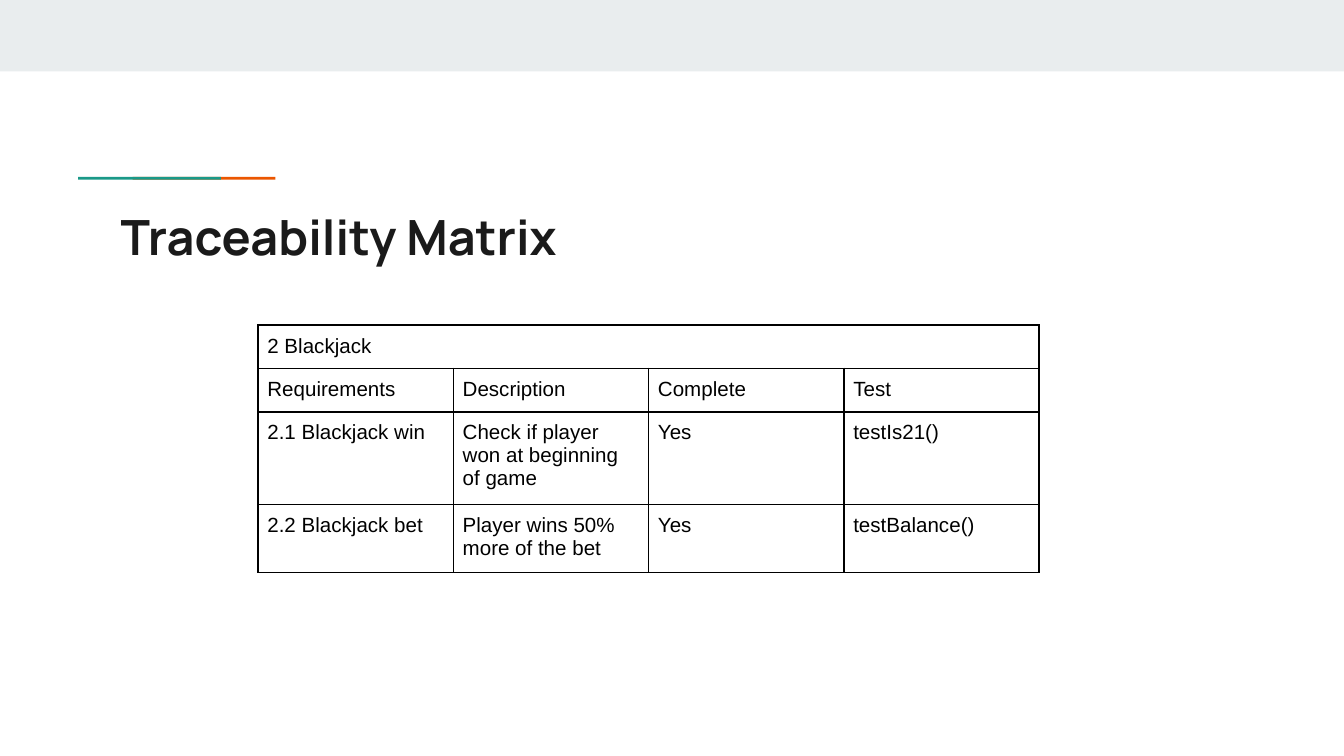
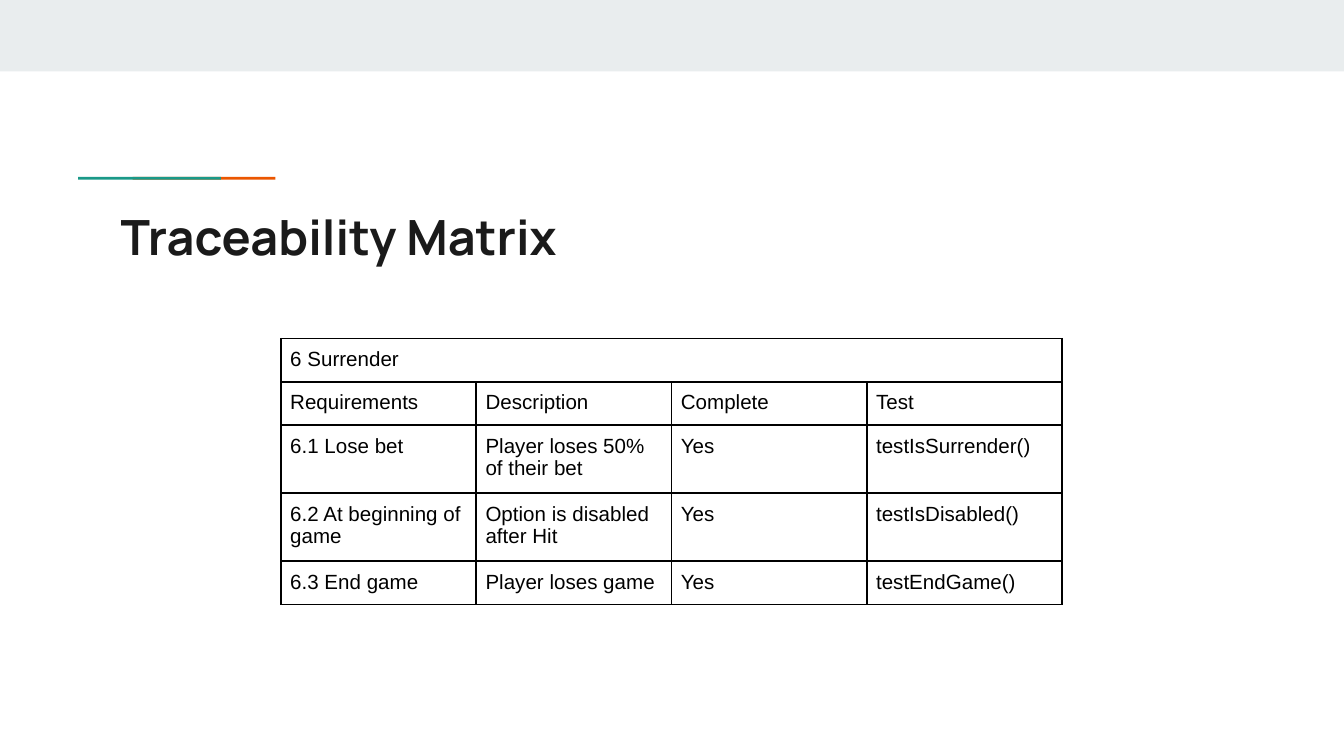
from typing import NamedTuple

from lxml import etree
from pptx import Presentation
from pptx.dml.color import RGBColor
from pptx.enum import shapes, text
from pptx.oxml import ns
from pptx.util import Pt

BAND = RGBColor(0xE9, 0xED, 0xEE)
ORANGE = RGBColor(0xEB, 0x56, 0x00)
TEAL = RGBColor(0x1A, 0x99, 0x88)
INK = RGBColor(0x1A, 0x1A, 0x1A)
BLACK = RGBColor(0, 0, 0)

WIDTH, HEIGHT = 720, 405
COL_W, ROW_H, INSET = 104.65, 21, 5
HEADS = ("Requirements", "Description", "Complete", "Test")


class Bar(NamedTuple):
    left: float
    top: float
    width: float
    height: float
    color: RGBColor


class Matrix(NamedTuple):
    left: float
    top: float
    topic: str
    rows: tuple


# The teal rule overlaps the orange one, so it comes last.
BARS = (
    Bar(0, 0, WIDTH, 38.3, BAND),
    Bar(71, 94.7, 76.5, 1.5, ORANGE),
    Bar(41.8, 94.7, 76.5, 1.5, TEAL),
)

SLIDES = (
    Matrix(138.25, 174.2, "2 Blackjack", (
        ("2.1 Blackjack win", "Check if player won at beginning of game", "Yes", "testIs21()"),
        ("2.2 Blackjack bet", "Player wins 50% more of the bet", "Yes", "testBalance()"),
    )),
    Matrix(150.5, 181.4, "6 Surrender", (
        ("6.1 Lose bet", "Player loses 50% of their bet", "Yes", "testIsSurrender()"),
        ("6.2 At beginning of game", "Option is disabled after Hit", "Yes", "testIsDisabled()"),
        ("6.3 End game", "Player loses game", "Yes", "testEndGame()"),
    )),
)


def add_run(para, words: str, font: str, size: float, color: RGBColor, bold: bool = False) -> None:
    run = para.add_run()
    run.text = words
    run.font.name = font
    run.font.size = Pt(size)
    run.font.bold = bold
    run.font.color.rgb = color


def add_bar(slide, bar: Bar) -> None:
    box = slide.shapes.add_shape(shapes.MSO_SHAPE.RECTANGLE, *map(Pt, bar[:4]))
    box.shadow.inherit = False
    box.fill.solid()
    box.fill.fore_color.rgb = bar.color
    box.line.fill.background()


def add_title(slide, words: str) -> None:
    box = slide.shapes.add_textbox(Pt(57.6), Pt(103.7), Pt(605.5), Pt(42.5))
    frame = box.text_frame
    frame.word_wrap = True
    frame.vertical_anchor = text.MSO_ANCHOR.TOP
    frame.margin_left = frame.margin_right = Pt(7.2)
    frame.margin_top = frame.margin_bottom = Pt(7.2)
    add_run(frame.paragraphs[0], words, "Manrope", 26, INK, bold=True)


def add_edges(cell) -> None:
    """Draw a one-point black line on all four sides of the cell."""
    props = cell._tc.get_or_add_tcPr()
    for spot, side in enumerate(("lnL", "lnR", "lnT", "lnB")):
        line = etree.Element(ns.qn(f"a:{side}"), w=str(Pt(1)))
        fill = etree.SubElement(line, ns.qn("a:solidFill"))
        etree.SubElement(fill, ns.qn("a:srgbClr"), val=str(BLACK))
        props.insert(spot, line)


def add_matrix(slide, data: Matrix) -> None:
    span = len(HEADS)
    grid = ((data.topic,) + ("",) * (span - 1), HEADS, *data.rows)
    table = slide.shapes.add_table(
        len(grid), span, Pt(data.left), Pt(data.top),
        Pt(COL_W * span), Pt(ROW_H * len(grid))).table
    table.first_row = table.horz_banding = False
    for col in table.columns:
        col.width = Pt(COL_W)
    table.cell(0, 0).merge(table.cell(0, span - 1))
    for row, line in enumerate(grid):
        for col, words in enumerate(line):
            cell = table.cell(row, col)
            cell.fill.background()
            cell.margin_left = cell.margin_right = Pt(INSET)
            cell.margin_top = cell.margin_bottom = Pt(INSET)
            add_edges(cell)
            if words:
                add_run(cell.text_frame.paragraphs[0], words, "Arial", 11, BLACK)


def main() -> None:
    deck = Presentation()
    deck.slide_width, deck.slide_height = Pt(WIDTH), Pt(HEIGHT)
    for data in SLIDES:
        slide = deck.slides.add_slide(deck.slide_layouts[6])
        for bar in BARS:
            add_bar(slide, bar)
        add_title(slide, "Traceability Matrix")
        add_matrix(slide, data)
    deck.save("out.pptx")


if __name__ == "__main__":
    main()
